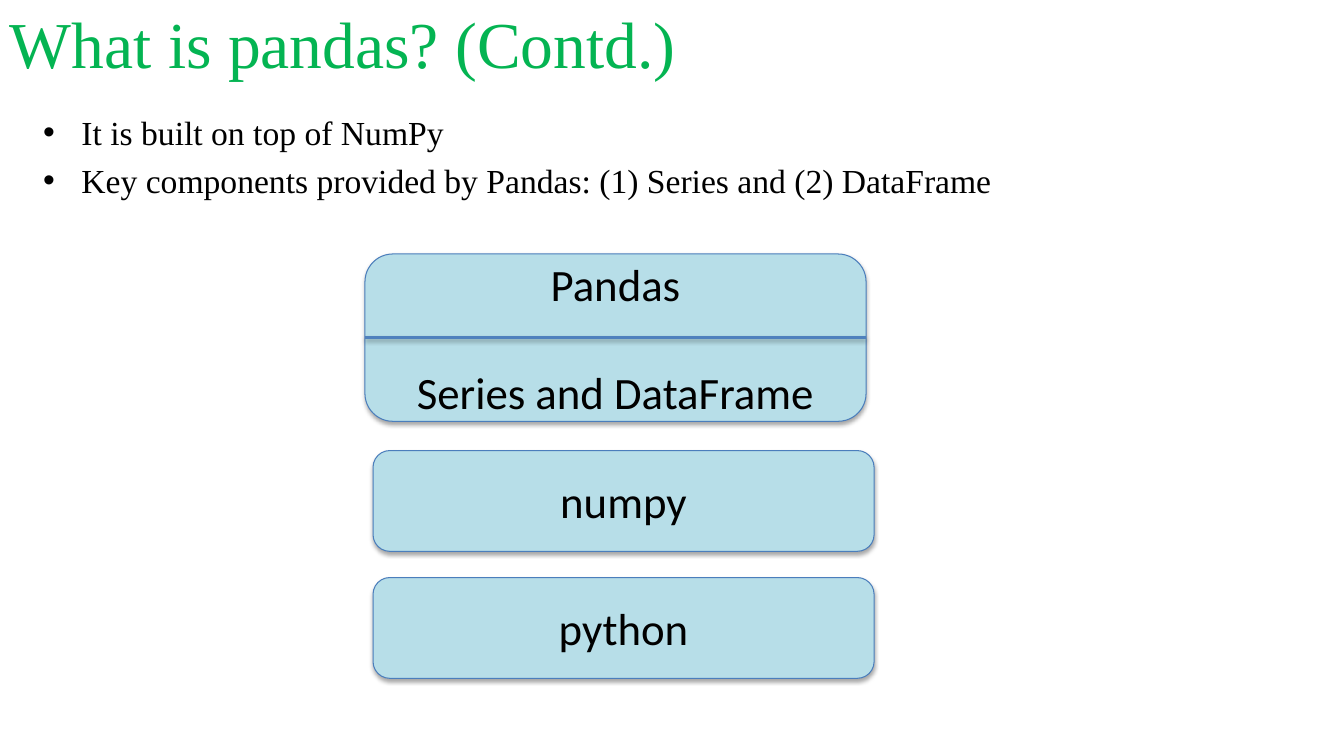
"""Build the slide that shows pandas stacked on numpy and python."""
from lxml import etree
from pptx import Presentation
from pptx.dml.color import RGBColor
from pptx.enum.shapes import MSO_CONNECTOR, MSO_SHAPE
from pptx.enum.text import MSO_ANCHOR, PP_ALIGN
from pptx.oxml import parse_xml
from pptx.util import Inches, Pt

ROUNDED = MSO_SHAPE.ROUNDED_RECTANGLE
STRAIGHT = MSO_CONNECTOR.STRAIGHT
MIDDLE, TOP = MSO_ANCHOR.MIDDLE, MSO_ANCHOR.TOP
LEFT, CENTER = PP_ALIGN.LEFT, PP_ALIGN.CENTER
DRAWING = "http://schemas.openxmlformats.org/drawingml/2006/main"
SERIF, SANS = "Times New Roman", "Calibri"


def write(box, text, size, font, color="000000", align=LEFT, anchor=TOP, gap=0, bullet=False):
    """Write each line of text as a paragraph of the box."""
    frame = box.text_frame
    frame.word_wrap = True
    frame.vertical_anchor = anchor
    for index, line in enumerate(text.split("\n")):
        para = frame.paragraphs[0] if index == 0 else frame.add_paragraph()
        para.alignment = align
        if index:
            para.space_before = Pt(gap)
        span = para.add_run()
        span.text = line
        span.font.size = Pt(size)
        span.font.name = font
        span.font.color.rgb = RGBColor.from_string(color)
        if bullet:
            layout = para._p.get_or_add_pPr()
            layout.set("marL", str(Inches(0.38)))
            layout.set("indent", str(-Inches(0.38)))
            etree.SubElement(layout, f"{{{DRAWING}}}buFont", typeface="Arial")
            etree.SubElement(layout, f"{{{DRAWING}}}buChar", char="•")


def add_shadow(item, distance, opacity):
    """Give the item a soft shadow straight below it."""
    item._element.spPr.append(parse_xml(
        f'<a:effectLst xmlns:a="{DRAWING}">'
        f'<a:outerShdw blurRad="{Pt(3.1)}" dist="{Pt(distance)}" dir="5400000" rotWithShape="0">'
        f'<a:srgbClr val="000000"><a:alpha val="{opacity * 1000}"/></a:srgbClr>'
        '</a:outerShdw></a:effectLst>'))


deck = Presentation()
deck.slide_width = Inches(13.33)
deck.slide_height = Inches(7.5)
page = deck.slides.add_slide(deck.slide_layouts[6])

points = page.shapes.add_textbox(Inches(0.33), Inches(1.06), Inches(12), Inches(4.95))
write(points, "It is built on top of NumPy\n"
      "Key components provided by Pandas: (1) Series and (2) DataFrame",
      24, SERIF, gap=5.8, bullet=True)
points.text_frame.paragraphs[0].space_before = Pt(4.8)

title = page.shapes.add_textbox(0, 0, Inches(9.81), Inches(0.83))
write(title, "What is pandas? (Contd.)", 46.8, SERIF, color="04B452", anchor=MIDDLE)

layers = [
    ("python", 3.7, 5.73, 1),
    ("numpy", 3.7, 4.47, 1),
    ("Pandas\nSeries and DataFrame", 3.62, 2.52, 1.66),
]
for text, left, top, height in layers:
    layer = page.shapes.add_shape(ROUNDED, Inches(left), Inches(top), Inches(4.97), Inches(height))
    layer.fill.solid()
    layer.fill.fore_color.rgb = RGBColor.from_string("B7DEE8")
    layer.line.color.rgb = RGBColor.from_string("4B7EBC")
    layer.line.width = Pt(0.75)
    add_shadow(layer, 1.8, 35)
    write(layer, text, 32, SANS, align=CENTER, anchor=MIDDLE, gap=39)

divider = page.shapes.add_connector(STRAIGHT, Inches(3.62), Inches(3.35), Inches(8.59), Inches(3.35))
divider.line.color.rgb = RGBColor.from_string("4F81BD")
divider.line.width = Pt(2)
add_shadow(divider, 1.6, 38)

deck.save("out.pptx")
